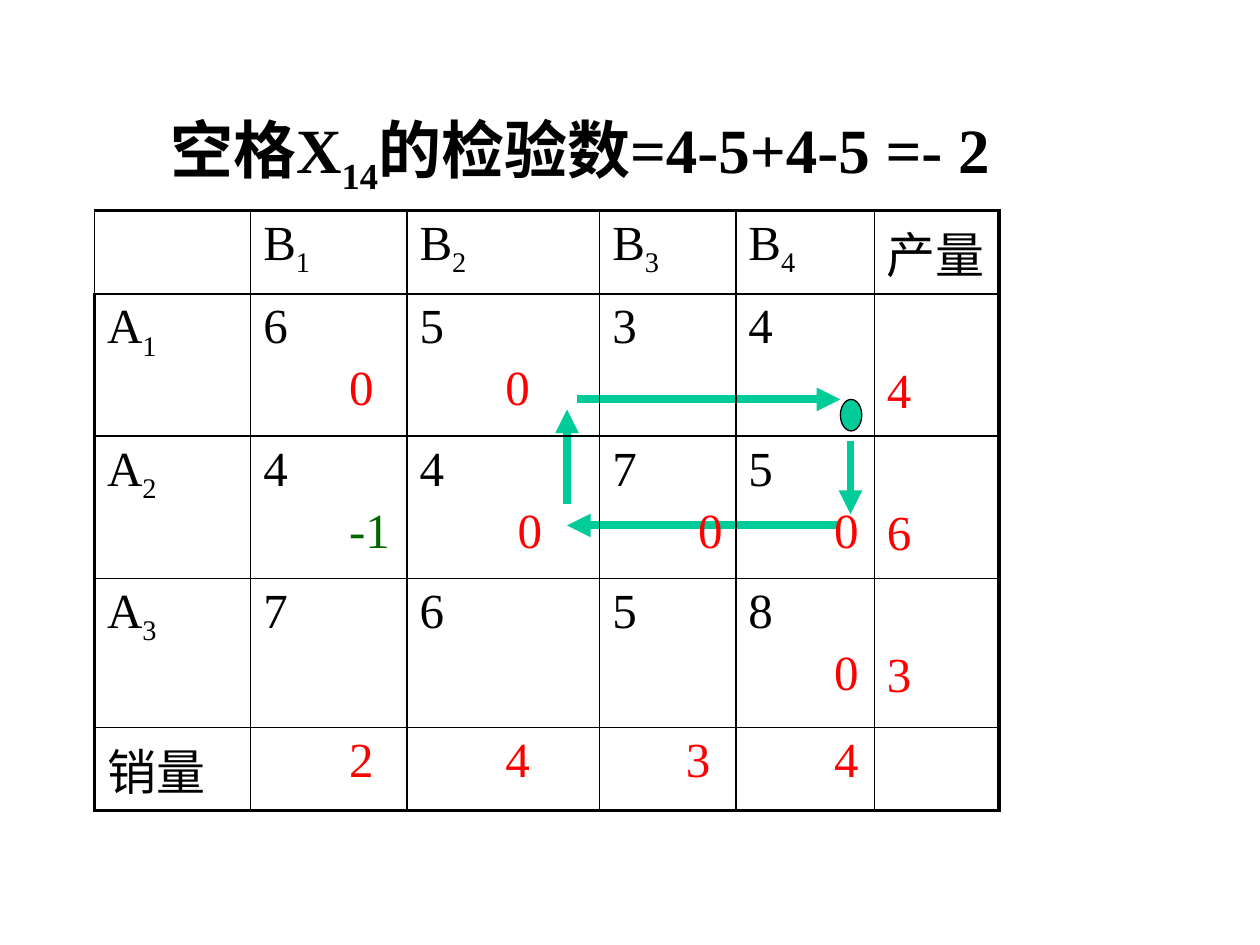
from pptx import Presentation, util as u
from pptx.dml.color import RGBColor
from pptx.enum import shapes, text
from pptx.oxml import parse_xml
from pptx.oxml.ns import nsdecls
from lxml import etree

BLACK = RGBColor(0, 0, 0)
RED = RGBColor(0xFF, 0, 0)
DARK_GREEN = RGBColor(0, 0x66, 0)
TEAL = RGBColor(0, 0xCC, 0x99)
FONT = "Times New Roman"

# Content: a run is text or (text, subscript)
TITLE = ["空格X", ("14", True), "的检验数=4-5+4-5 =- 2"]
DESTINATIONS = ["B1", "B2", "B3", "B4"]
ORIGINS = ["A1", "A2", "A3"]
COSTS = [[6, 5, 3, 4], [4, 4, 7, 5], [7, 6, 5, 8]]
# (row, column): (check number, indent in space widths, colour)
CHECKS = {
    (0, 0): ("0", 7, RED), (0, 1): ("0", 7, RED),
    (1, 0): ("-1", 7, DARK_GREEN), (1, 1): ("0", 8, RED),
    (1, 2): ("0", 7, RED), (1, 3): ("0", 7, RED),
    (2, 3): ("0", 7, RED),
}
SUPPLY = ["4", "6", "3"]
DEMAND = [("2", 7), ("4", 7), ("3", 6), ("4", 7)]

# Grid in inches
LEFT, TOP = 0.75, 1.67
COLUMNS = [1.24, 1.24, 1.53, 1.08, 1.1, 0.99]
ROWS = [0.57, 1.13, 1.13, 1.18, 0.57]
LAST_ROW, LAST_COLUMN = len(ROWS) - 1, len(COLUMNS) - 1
SPACE_WIDTH = u.Pt(7)
SECOND_LINE = u.Inches(0.56)

# Closed loop through the cells: (start, end)
LOOP = [
    ((6.75, 3.5), (6.75, 4.08)),
    ((6.67, 4.17), (4.5, 4.17)),
    ((4.5, 4), (4.5, 3.25)),
    ((4.58, 3.17), (6.67, 3.17)),
]


def write(paragraph, runs, size=28, color=BLACK, bold=False, indent=0, before=0):
    if indent:
        properties = paragraph._p.get_or_add_pPr()
        properties.set("marL", str(indent * SPACE_WIDTH))
        properties.set("indent", "0")
    paragraph.alignment = text.PP_ALIGN.LEFT
    paragraph.space_before = u.Pt(before)
    for item in runs:
        words, subscript = item if isinstance(item, tuple) else (item, False)
        run = paragraph.add_run()
        run.text = words
        run.font.name, run.font.size, run.font.bold = FONT, u.Pt(size), bold
        run.font.color.rgb = color
        if subscript:
            run.font._element.set("baseline", "-25000")


def indexed(name):
    return [name[0], (name[1], True)]


def set_borders(cell, row, column):
    outer = {"L": column == 0 and row > 0, "R": column == LAST_COLUMN,
             "T": row == 0, "B": row == LAST_ROW}
    for place, (side, thick) in enumerate(outer.items()):
        width = u.Pt(2.25 if thick else 1)
        cell._tc.get_or_add_tcPr().insert(place, parse_xml(
            f'<a:ln{side} {nsdecls("a")} w="{width}"><a:solidFill>'
            f'<a:srgbClr val="{BLACK}"/></a:solidFill></a:ln{side}>'))


def add_arrow(slide, start, end):
    arrow = slide.shapes.add_connector(
        shapes.MSO_CONNECTOR.STRAIGHT, *map(u.Inches, start + end))
    arrow.line.color.rgb, arrow.line.width = TEAL, u.Pt(4.5)
    arrow.line._get_or_add_ln().append(
        parse_xml(f'<a:tailEnd {nsdecls("a")} type="triangle"/>'))
    etree.SubElement(
        arrow._element.spPr,
        "{http://schemas.openxmlformats.org/drawingml/2006/main}effectLst")


def fill_table(table):
    for column, width in zip(table.columns, COLUMNS):
        column.width = u.Inches(width)
    for row, height in zip(table.rows, ROWS):
        row.height = u.Inches(height)
    for r in range(len(ROWS)):
        for c in range(len(COLUMNS)):
            cell = table.cell(r, c)
            cell.fill.background()
            set_borders(cell, r, c)

    def first(row, column):
        return table.cell(row, column).text_frame.paragraphs[0]

    # Headings and totals
    write(first(0, LAST_COLUMN), ["产量"])
    write(first(LAST_ROW, 0), ["销量"])
    for c, (name, (amount, indent)) in enumerate(zip(DESTINATIONS, DEMAND), 1):
        write(first(0, c), indexed(name))
        write(first(LAST_ROW, c), [amount], color=RED, indent=indent)
    for r, (name, amount) in enumerate(zip(ORIGINS, SUPPLY), 1):
        write(first(r, 0), indexed(name))
        table.cell(r, LAST_COLUMN).margin_top = SECOND_LINE
        write(first(r, LAST_COLUMN), [amount], color=RED)

    # Costs with the check numbers below
    for r, costs in enumerate(COSTS):
        for c, cost in enumerate(costs):
            write(first(r + 1, c + 1), [str(cost)])
            if (r, c) in CHECKS:
                value, indent, color = CHECKS[r, c]
                below = table.cell(r + 1, c + 1).text_frame.add_paragraph()
                write(below, [value], color=color, indent=indent, before=4.5)


def main():
    deck = Presentation()
    deck.slide_width, deck.slide_height = u.Inches(10), u.Inches(7.5)
    slide = deck.slides.add_slide(deck.slide_layouts[5])

    # Title
    title = slide.shapes.title
    title.left, title.top = u.Inches(1.25), u.Inches(0.83)
    title.width, title.height = u.Inches(7.42), u.Inches(0.7)
    title.text_frame.word_wrap = True
    title.text_frame.auto_size = text.MSO_AUTO_SIZE.NONE
    title.text_frame.vertical_anchor = text.MSO_ANCHOR.TOP
    write(title.text_frame.paragraphs[0], TITLE, size=36, bold=True)

    # Empty cell marker and loop
    marker = slide.shapes.add_shape(
        shapes.MSO_SHAPE.OVAL, *map(u.Inches, (6.67, 3.17, 0.17, 0.25)))
    marker.shadow.inherit = False
    marker.fill.solid()
    marker.fill.fore_color.rgb = TEAL
    marker.line.color.rgb, marker.line.width = BLACK, u.Pt(0.75)
    for start, end in LOOP:
        add_arrow(slide, start, end)

    # Transport table
    size = (LEFT, TOP, sum(COLUMNS), sum(ROWS))
    table = slide.shapes.add_table(
        len(ROWS), len(COLUMNS), *map(u.Inches, size)).table
    table.first_row = table.horz_banding = False
    fill_table(table)

    deck.save("out.pptx")


if __name__ == "__main__":
    main()
